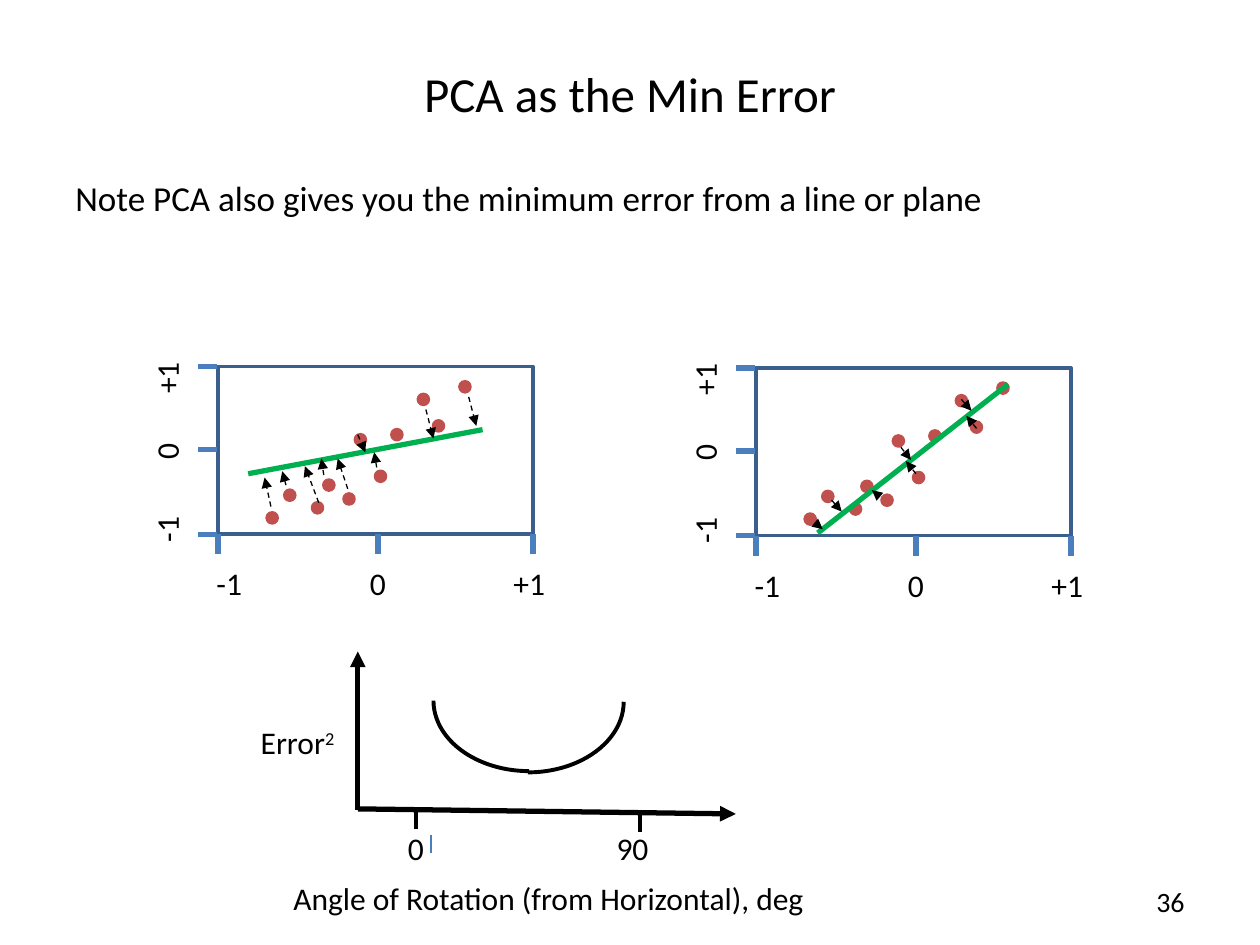
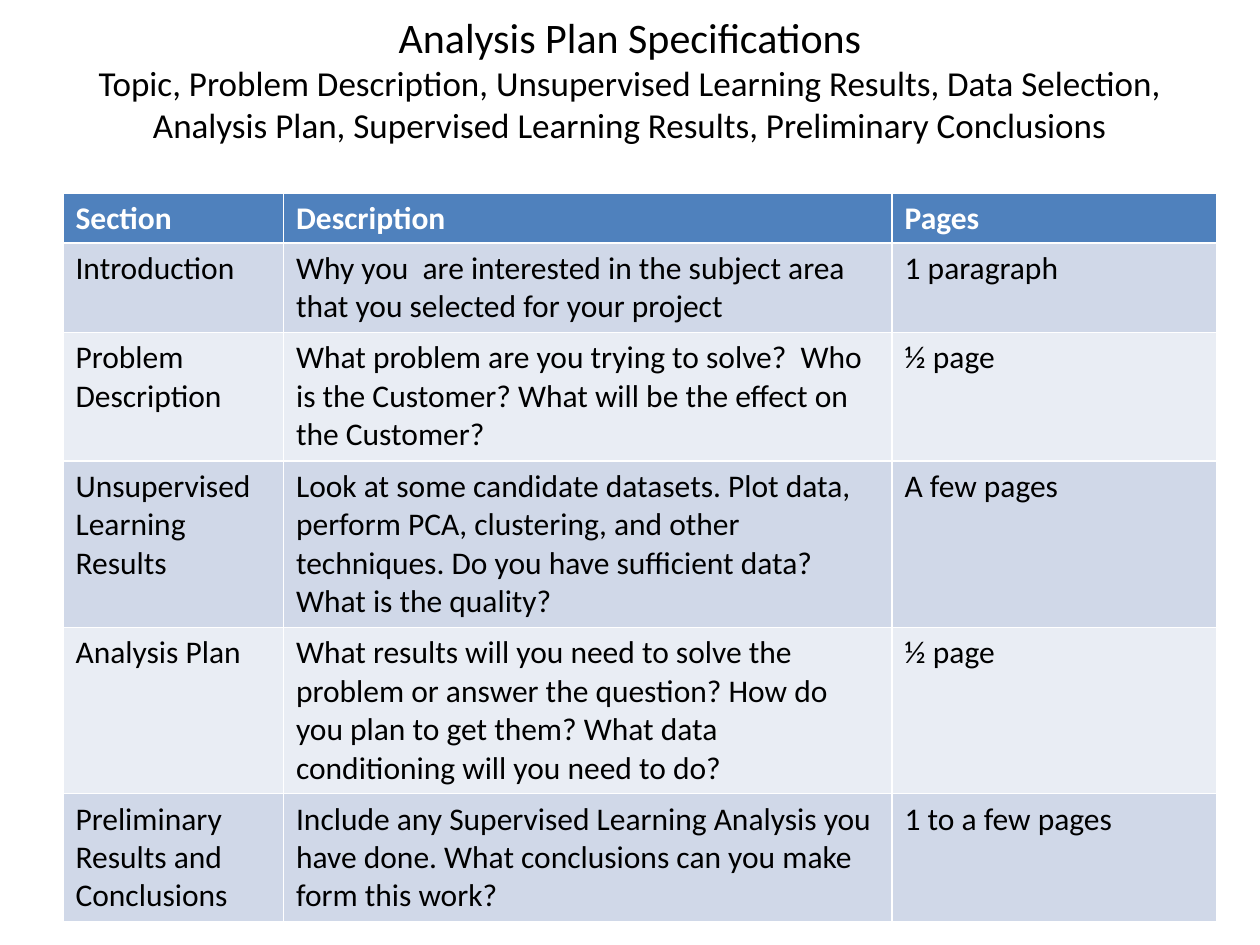
"""Build two course slides: PCA as minimum error, and the analysis plan table."""
from dataclasses import dataclass
from typing import Any, NamedTuple

from lxml.etree import SubElement
from pptx import Presentation
from pptx.dml.color import RGBColor
from pptx.enum.dml import MSO_LINE
from pptx.enum.shapes import MSO_CONNECTOR, MSO_SHAPE
from pptx.enum.text import MSO_ANCHOR, PP_ALIGN
from pptx.oxml.ns import qn
from pptx.slide import Slide
from pptx.util import Pt

EMU_PER_PX = 9144
FONT = "Calibri"
BODY_SIZE = 18
COLORS = {
    "text": "000000", "white": "FFFFFF", "frame": "3A5F8C", "tick": "4B7EBC",
    "dot": "C0504D", "fit": "00B050", "header": "4F81BD",
    "band_dark": "D0D8E8", "band_light": "E9EDF4",
}


class Box(NamedTuple):
    """A rectangle in px."""
    x: int
    y: int
    w: int
    h: int


class Segment(NamedTuple):
    """A straight line in px."""
    x1: int
    y1: int
    x2: int
    y2: int


@dataclass(frozen=True)
class Stroke:
    """How a line is drawn."""
    color: str
    width: float
    dashed: bool = False
    arrow: bool = False


@dataclass(frozen=True)
class Label:
    """A short text centred on a point."""
    text: str
    cx: int
    cy: int
    rotation: int = 0


@dataclass(frozen=True)
class Panel:
    """A scatter panel with its fitted line and residual arrows."""
    dx: int
    dy: int
    fit: Segment
    residuals: tuple[Segment, ...]


@dataclass(frozen=True)
class PlanRow:
    """One row of the plan table."""
    height: int
    cells: tuple[str, str, str]


TICK = Stroke("tick", 3)
FIT = Stroke("fit", 3)
RESIDUAL = Stroke("text", 0.75, dashed=True, arrow=True)
AXIS = Stroke("text", 3, arrow=True)
CURVE = Stroke("text", 2.25)
THIN = Stroke("tick", 0.75)

FRAME = Box(173, 291, 250, 133)
DOT_SIZE = 8
DOTS = ((248, 399), (257, 381), (273, 392), (298, 374), (282, 345), (226, 389),
        (311, 341), (344, 334), (212, 407), (332, 313), (365, 303))
X_TICKS = (173, 300, 423)
Y_TICKS = (291, 357, 424)
SCALE_LABELS = (
    Label("-1", 182, 463), Label("0", 300, 463), Label("+1", 420, 463),
    Label("-1", 132, 420, 270), Label("0", 132, 358, 270), Label("+1", 132, 300, 270),
)
PANELS = (
    Panel(0, 0, Segment(197, 376, 383, 341), (
        Segment(215, 402, 210, 379), Segment(227, 385, 224, 374),
        Segment(253, 399, 242, 370), Segment(257, 377, 255, 364),
        Segment(276, 388, 268, 364), Segment(299, 371, 297, 359),
        Segment(284, 345, 290, 359), Segment(338, 325, 344, 348),
        Segment(372, 315, 378, 338))),
    Panel(427, 1, Segment(649, 423, 800, 305), (
        Segment(660, 397, 668, 406), Segment(715, 355, 723, 365),
        Segment(763, 317, 771, 326), Segment(727, 376, 719, 366),
        Segment(647, 415, 653, 420), Segment(698, 394, 692, 389),
        Segment(775, 340, 767, 330))),
)
ERROR_LINES = (
    (Segment(284, 642, 584, 646), AXIS), (Segment(284, 643, 284, 517), AXIS),
    (Segment(330, 644, 330, 658), CURVE), (Segment(508, 646, 508, 660), CURVE),
    (Segment(342, 663, 342, 677), THIN),
)
ERROR_ARCS = ((Box(343, 501, 152, 112), 0, 90), (Box(344, 500, 152, 112), 90, 180))

COLUMN_WIDTHS = (175, 483, 258)
PLAN = (
    PlanRow(40, ("Section", "Description", "Pages")),
    PlanRow(71, ("Introduction",
                 "Why you  are interested in the subject area that you selected for your project",
                 "1 paragraph")),
    PlanRow(102, ("Problem Description",
                  "What problem are you trying to solve?  Who is the Customer? "
                  "What will be the effect on the Customer?", "½ page")),
    PlanRow(132, ("Unsupervised Learning Results",
                  "Look at some candidate datasets. Plot data, perform PCA, clustering, and other "
                  "techniques. Do you have sufficient data? What is the quality?", "A few pages")),
    PlanRow(132, ("Analysis Plan",
                  "What results will you need to solve the problem or answer the question? How do "
                  "you plan to get them? What data conditioning will you need to do?", "½ page")),
    PlanRow(102, ("Preliminary Results and Conclusions",
                  "Include any Supervised Learning Analysis you have done. "
                  "What conclusions can you make form this work?", "1 to a few pages")),
)


def px(n: int) -> int:
    """Turn px into EMU."""
    return n * EMU_PER_PX


def rgb(name: str) -> RGBColor:
    """Look up a palette colour."""
    return RGBColor.from_string(COLORS[name])


def apply(target: Any, values: dict[str, Any]) -> None:
    """Set each format value on the target."""
    for name, value in values.items():
        setattr(target, name, value)


def add_run(p: Any, text: str, size: int = BODY_SIZE, color: str = "text", bold: bool = False) -> Any:
    """Append a formatted run."""
    r = p.add_run()
    r.text = text
    apply(r.font, {"name": FONT, "size": Pt(size), "bold": bold})
    r.font.color.rgb = rgb(color)
    return r


def add_text(s: Slide, box: Box, lines: tuple[tuple[str, int], ...],
             align: PP_ALIGN = PP_ALIGN.LEFT, anchor: MSO_ANCHOR = MSO_ANCHOR.TOP) -> Any:
    """Add a wrapping text box whose lines share one paragraph."""
    sp = s.shapes.add_textbox(*map(px, box))
    apply(sp.text_frame, {"word_wrap": True, "vertical_anchor": anchor})
    p = sp.text_frame.paragraphs[0]
    p.alignment = align
    for i, (text, size) in enumerate(lines):
        if i:
            p.add_line_break()
        add_run(p, text, size)
    return sp


def add_title(s: Slide, box: Box, *lines: tuple[str, int]) -> None:
    """Add the centred slide title."""
    add_text(s, box, lines, PP_ALIGN.CENTER, MSO_ANCHOR.MIDDLE)


def add_label(s: Slide, label: Label, dx: int = 0, dy: int = 0) -> None:
    """Add a centred label around its point."""
    box = Box(label.cx + dx - 30, label.cy + dy - 20, 60, 40)
    sp = add_text(s, box, ((label.text, BODY_SIZE),), PP_ALIGN.CENTER, MSO_ANCHOR.MIDDLE)
    sp.rotation = label.rotation


def add_line(s: Slide, seg: Segment, stroke: Stroke, dx: int = 0, dy: int = 0) -> None:
    """Draw a straight connector."""
    cx = s.shapes.add_connector(MSO_CONNECTOR.STRAIGHT, px(seg.x1 + dx), px(seg.y1 + dy),
                                px(seg.x2 + dx), px(seg.y2 + dy))
    cx.line.color.rgb = rgb(stroke.color)
    cx.line.width = Pt(stroke.width)
    if stroke.dashed:
        cx.line.dash_style = MSO_LINE.DASH
    if stroke.arrow:
        SubElement(cx.line._get_or_add_ln(), qn("a:tailEnd"), type="triangle")
    SubElement(cx._element.spPr, qn("a:effectLst"))


def add_outline(s: Slide, kind: MSO_SHAPE, box: Box, color: str, width: float,
                filled: bool = False) -> Any:
    """Draw a preset shape, filled with its line colour or empty."""
    sp = s.shapes.add_shape(kind, *map(px, box))
    sp.shadow.inherit = False
    if filled:
        sp.fill.solid()
        sp.fill.fore_color.rgb = rgb(color)
    else:
        sp.fill.background()
    sp.line.color.rgb = rgb(color)
    sp.line.width = Pt(width)
    return sp


def add_panel(s: Slide, panel: Panel) -> None:
    """Draw a scatter panel with its scales, fit and residuals."""
    dx, dy = panel.dx, panel.dy
    add_outline(s, MSO_SHAPE.RECTANGLE, Box(FRAME.x + dx, FRAME.y + dy, FRAME.w, FRAME.h), "frame", 2)
    for x, y in DOTS:
        add_outline(s, MSO_SHAPE.OVAL, Box(x + dx, y + dy, DOT_SIZE, DOT_SIZE), "dot", 2, True)
    bottom = FRAME.y + FRAME.h
    for x in X_TICKS:
        add_line(s, Segment(x, bottom, x, bottom + 16), TICK, dx, dy)
    for y in Y_TICKS:
        add_line(s, Segment(FRAME.x - 1, y, FRAME.x - 16, y), TICK, dx, dy)
    for label in SCALE_LABELS:
        add_label(s, label, dx, dy)
    add_line(s, panel.fit, FIT)
    for residual in panel.residuals:
        add_line(s, residual, RESIDUAL)


def add_error_plot(s: Slide) -> None:
    """Draw squared error against the angle of rotation."""
    sp = add_text(s, Box(197, 569, 85, 40), (("Error", BODY_SIZE),))
    r = add_run(sp.text_frame.paragraphs[0], "2")
    r._r.get_or_add_rPr().set("baseline", "30000")
    add_text(s, Box(223, 693, 440, 40), (("Angle of Rotation (from Horizontal), deg", BODY_SIZE),))
    for seg, stroke in ERROR_LINES:
        add_line(s, seg, stroke)
    for box, start, end in ERROR_ARCS:
        arc = add_outline(s, MSO_SHAPE.ARC, box, CURVE.color, CURVE.width)
        for i, degrees in enumerate((start, end)):
            arc.adjustments[i] = degrees * 0.6
    for label in (Label("0", 330, 673), Label("90", 502, 673)):
        add_label(s, label)


def add_plan_table(s: Slide) -> None:
    """Add the banded plan table."""
    box = Box(50, 153, sum(COLUMN_WIDTHS), sum(row.height for row in PLAN))
    table = s.shapes.add_table(len(PLAN), len(COLUMN_WIDTHS), *map(px, box)).table
    for column, width in zip(table.columns, COLUMN_WIDTHS):
        column.width = px(width)
    for i, row in enumerate(PLAN):
        table.rows[i].height = px(row.height)
        fill = "header" if i == 0 else ("band_light", "band_dark")[i % 2]
        for j, text in enumerate(row.cells):
            cell = table.cell(i, j)
            cell.fill.solid()
            cell.fill.fore_color.rgb = rgb(fill)
            add_run(cell.text_frame.paragraphs[0], text,
                    color="text" if i else "white", bold=i == 0)


def main() -> None:
    """Build and save the slides."""
    prs = Presentation()
    apply(prs, {"slide_width": px(1000), "slide_height": px(750)})
    blank = prs.slide_layouts[6]

    s = prs.slides.add_slide(blank)
    add_title(s, Box(50, 30, 900, 87), ("PCA as the Min Error", 28))
    add_text(s, Box(50, 135, 900, 45),
             (("Note PCA also gives you the minimum error from a line or plane", 20),))
    add_text(s, Box(717, 695, 233, 40), (("36", 16),), PP_ALIGN.RIGHT, MSO_ANCHOR.MIDDLE)
    for panel in PANELS:
        add_panel(s, panel)
    add_error_plot(s)

    s = prs.slides.add_slide(blank)
    add_title(s, Box(50, 0, 900, 125), ("Analysis Plan Specifications", 24),
              ("Topic, Problem Description, Unsupervised Learning Results, Data Selection, "
               "Analysis Plan, Supervised Learning Results, Preliminary Conclusions", 20))
    add_plan_table(s)
    prs.save("out.pptx")


if __name__ == "__main__":
    main()
